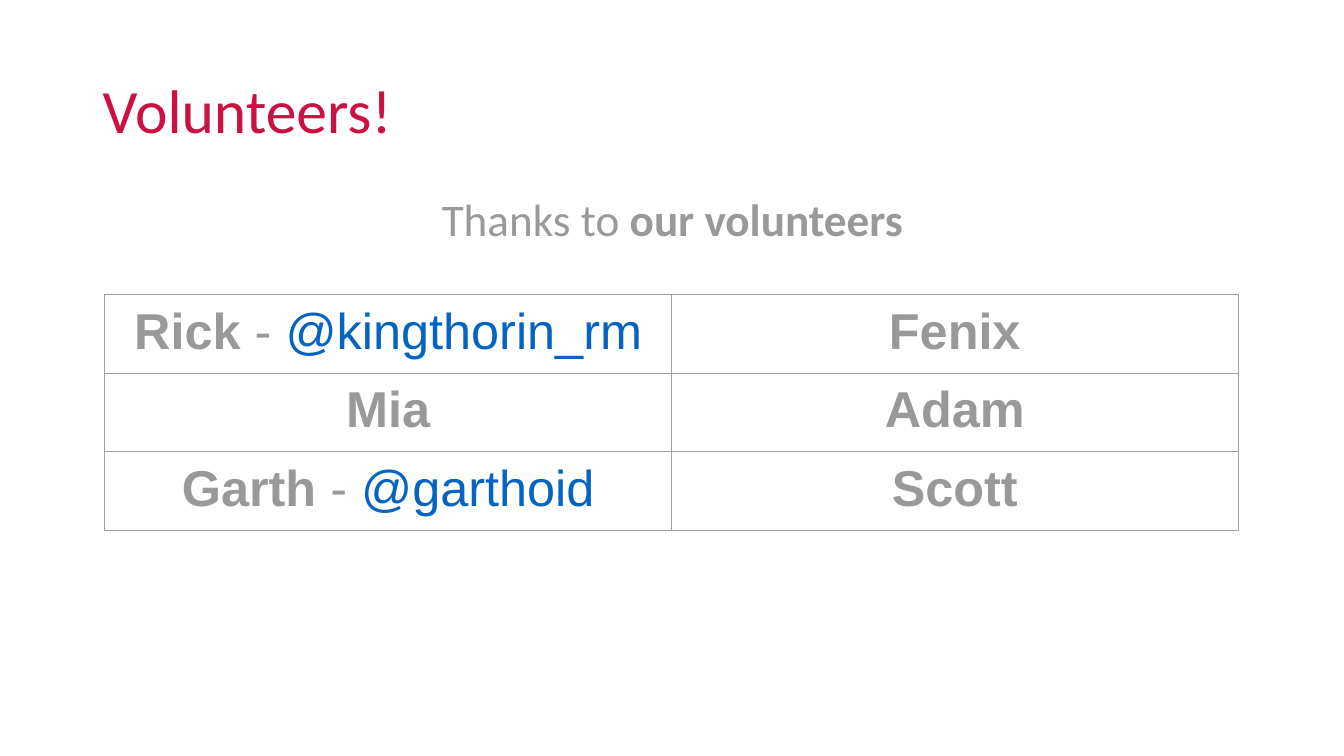
"""Build the volunteers thank-you slide."""
from lxml.etree import SubElement
from pptx import Presentation
from pptx.dml.color import RGBColor
from pptx.enum.text import MSO_ANCHOR as Anchor, PP_ALIGN as Align
from pptx.oxml.ns import qn
from pptx.util import Inches, Pt

CRIMSON = RGBColor(0xCA, 0x11, 0x40)
GRAY = RGBColor(0x99, 0x99, 0x99)
BLUE = RGBColor(0x05, 0x63, 0xC1)
BORDER = RGBColor(0x9E, 0x9E, 0x9E)

HEADING = {"name": "Calibri", "size": Pt(44)}
THANKS = {"name": "Calibri", "size": Pt(32.3)}
NAME = {"name": "Arial", "size": Pt(36)}


def add_runs(paragraph, runs, font_format):
    for text, color, bold in runs:
        run = paragraph.add_run()
        run.text = text
        for attribute, value in font_format.items():
            setattr(run.font, attribute, value)
        run.font.bold = bold
        run.font.color.rgb = color


def add_borders(cell):
    properties = cell._tc.get_or_add_tcPr()
    for position, side in enumerate(("lnL", "lnR", "lnT", "lnB")):
        line = properties.makeelement(qn(f"a:{side}"), {"w": str(Pt(0.75))})
        fill = SubElement(line, qn("a:solidFill"))
        SubElement(fill, qn("a:srgbClr"), val=str(BORDER))
        properties.insert(position, line)


presentation = Presentation()
presentation.slide_width = Inches(13.33)
presentation.slide_height = Inches(7.5)
slide = presentation.slides.add_slide(presentation.slide_layouts[6])

text_blocks = [
    (0.4, 1.45, Anchor.MIDDLE, [("Volunteers!", CRIMSON, False)], HEADING,
     {"alignment": Align.LEFT, "line_spacing": 0.9}),
    (2, 1.09, Anchor.TOP,
     [("Thanks to ", GRAY, False), ("our volunteers", GRAY, True)], THANKS,
     {"alignment": Align.CENTER, "line_spacing": 0.7, "space_before": Pt(10)}),
]
for top, height, anchor, runs, font_format, paragraph_format in text_blocks:
    box = slide.shapes.add_textbox(
        Inches(0.92), Inches(top), Inches(11.5), Inches(height))
    frame = box.text_frame
    frame.word_wrap = True
    frame.vertical_anchor = anchor
    paragraph = frame.paragraphs[0]
    for attribute, value in paragraph_format.items():
        setattr(paragraph, attribute, value)
    add_runs(paragraph, runs, font_format)

volunteers = [
    [("Rick", "@kingthorin_rm"), ("Fenix", None)],
    [("Mia", None), ("Adam", None)],
    [("Garth", "@garthoid"), ("Scott", None)],
]
cell_format = {
    "margin_left": Inches(0.1), "margin_right": Inches(0.1),
    "margin_top": Inches(0.09), "margin_bottom": Inches(0.09),
}
table = slide.shapes.add_table(
    3, 2, Inches(1.04), Inches(2.92), Inches(11.24), Inches(2.28)).table
table.first_row = False
table.horz_banding = False
for row, people in enumerate(volunteers):
    for column, (person, handle) in enumerate(people):
        cell = table.cell(row, column)
        for attribute, value in cell_format.items():
            setattr(cell, attribute, value)
        cell.fill.background()
        add_borders(cell)
        runs = [(person, GRAY, True)]
        if handle:
            runs += [(" - ", GRAY, False), (handle, BLUE, False)]
        paragraph = cell.text_frame.paragraphs[0]
        paragraph.alignment = Align.CENTER
        add_runs(paragraph, runs, NAME)

presentation.save("out.pptx")
